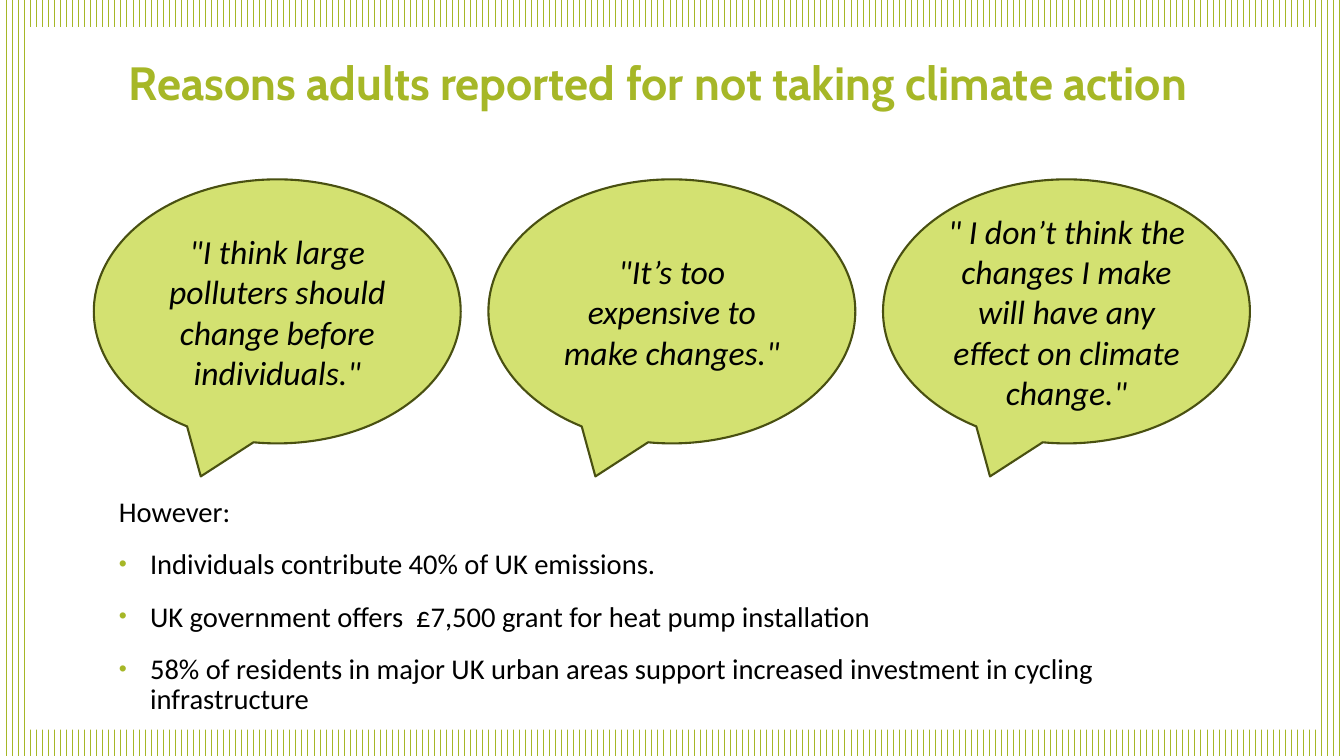
from dataclasses import dataclass

import pptx
import pptx.dml.color
import pptx.enum.dml
import pptx.enum.shapes
import pptx.enum.text
import pptx.oxml
import pptx.oxml.ns
import pptx.util
from pptx.enum.shapes import MSO_SHAPE

SLIDE_WIDTH = pptx.util.Inches(13.33)
SLIDE_HEIGHT = pptx.util.Inches(7.5)


@dataclass(frozen=True)
class Theme:
    accent: str = "A6B727"
    bubble: str = "D3E171"
    outline: str = "495011"
    paper: str = "FFFFFF"
    ink: str = "000000"
    title_font: str = "Cabin"
    text_font: str = "Calibri"
    title_size: float = 33.3
    quote_size: float = 24
    body_size: float = 20.4


@dataclass(frozen=True)
class Area:
    """Left, top, width and height in percent of the slide."""
    left: float
    top: float
    width: float
    height: float

    def lengths(self) -> tuple[int, int, int, int]:
        return (
            round(SLIDE_WIDTH * self.left / 100),
            round(SLIDE_HEIGHT * self.top / 100),
            round(SLIDE_WIDTH * self.width / 100),
            round(SLIDE_HEIGHT * self.height / 100),
        )


@dataclass(frozen=True)
class TextStyle:
    font: str
    size: float
    color: str
    bold: bool = False
    italic: bool = False


@dataclass(frozen=True)
class BodyLine:
    text: str
    bulleted: bool = True


THEME = Theme()
TITLE_STYLE = TextStyle(THEME.title_font, THEME.title_size, THEME.accent, bold=True)
QUOTE_STYLE = TextStyle(THEME.text_font, THEME.quote_size, THEME.ink, italic=True)
BODY_STYLE = TextStyle(THEME.text_font, THEME.body_size, THEME.ink)

PANEL = Area(1.88, 3.6, 96.17, 92.93)
TITLE = Area(8.85, 6, 82.37, 14.8)
BODY = Area(8.1, 65.33, 83.8, 31.73)
BUBBLE_LEFT, BUBBLE_PITCH = 6.98, 29.36

TITLE_TEXT = "Reasons adults reported for not taking climate action"
QUOTES = [
    '"I think large polluters should change before individuals."',
    '"It’s too expensive to make changes."',
    '" I don’t think the changes I make will have any effect on climate change."',
]
BODY_LINES = [
    BodyLine("However:", bulleted=False),
    BodyLine("Individuals contribute 40% of UK emissions."),
    BodyLine("UK government offers  £7,500 grant for heat pump installation"),
    BodyLine("58% of residents in major UK urban areas support increased "
             "investment in cycling infrastructure"),
]


def rgb(color: str) -> pptx.dml.color.RGBColor:
    return pptx.dml.color.RGBColor.from_string(color)


def style_paragraph(paragraph, style: TextStyle) -> None:
    font = paragraph.font
    font.name = style.font
    font.size = pptx.util.Pt(style.size)
    font.color.rgb = rgb(style.color)
    font.bold = style.bold
    font.italic = style.italic


def add_bullet(paragraph) -> None:
    properties = paragraph._p.get_or_add_pPr()
    indent = pptx.util.Inches(0.31)
    properties.set("marL", str(indent))
    properties.set("indent", str(-indent))
    namespace = pptx.oxml.ns.nsdecls("a")
    for element in (
        f'<a:buClr {namespace}><a:srgbClr val="{THEME.accent}"/></a:buClr>',
        f'<a:buSzPct {namespace} val="80000"/>',
        f'<a:buFont {namespace} typeface="Arial"/>',
        f'<a:buChar {namespace} char="•"/>',
    ):
        properties.append(pptx.oxml.parse_xml(element))


def add_text(slide, area: Area, lines: list[BodyLine], style: TextStyle,
             line_spacing: float) -> None:
    frame = slide.shapes.add_textbox(*area.lengths()).text_frame
    frame.word_wrap = True
    for index, line in enumerate(lines):
        paragraph = frame.add_paragraph() if index else frame.paragraphs[0]
        paragraph.text = line.text
        if line.bulleted:
            add_bullet(paragraph)
        paragraph.line_spacing = line_spacing
        paragraph.space_before = pptx.util.Pt(10 if index else 0)
        paragraph.space_after = pptx.util.Pt(6)
        style_paragraph(paragraph, style)


def add_filled_shape(slide, preset: MSO_SHAPE, area: Area, color: str):
    shape = slide.shapes.add_shape(preset, *area.lengths())
    shape.shadow.inherit = False
    shape.fill.solid()
    shape.fill.fore_color.rgb = rgb(color)
    shape.line.fill.background()
    return shape


def add_bubble(slide, area: Area, quote: str) -> None:
    bubble = add_filled_shape(slide, MSO_SHAPE.OVAL_CALLOUT, area, THEME.bubble)
    bubble.line.color.rgb = rgb(THEME.outline)
    bubble.line.width = pptx.util.Pt(1.5)
    frame = bubble.text_frame
    frame.word_wrap = True
    frame.vertical_anchor = pptx.enum.text.MSO_ANCHOR.MIDDLE
    paragraph = frame.paragraphs[0]
    paragraph.text = quote
    paragraph.alignment = pptx.enum.text.PP_ALIGN.CENTER
    style_paragraph(paragraph, QUOTE_STYLE)


def set_striped_background(slide) -> None:
    fill = slide.background.fill
    fill.patterned()
    fill.pattern = pptx.enum.dml.MSO_PATTERN.DASHED_VERTICAL
    fill.fore_color.rgb = rgb(THEME.accent)
    fill.back_color.rgb = rgb(THEME.paper)


def main() -> None:
    presentation = pptx.Presentation()
    presentation.slide_width = SLIDE_WIDTH
    presentation.slide_height = SLIDE_HEIGHT
    slide = presentation.slides.add_slide(presentation.slide_layouts[6])
    set_striped_background(slide)
    add_filled_shape(slide, MSO_SHAPE.RECTANGLE, PANEL, THEME.paper)
    add_text(slide, BODY, BODY_LINES, BODY_STYLE, line_spacing=0.87)
    for column, quote in enumerate(QUOTES):
        left = BUBBLE_LEFT + column * BUBBLE_PITCH
        add_bubble(slide, Area(left, 23.73, 27.3, 34.93), quote)
    add_text(slide, TITLE, [BodyLine(TITLE_TEXT, bulleted=False)], TITLE_STYLE,
             line_spacing=1.07)
    presentation.save("out.pptx")


if __name__ == "__main__":
    main()
